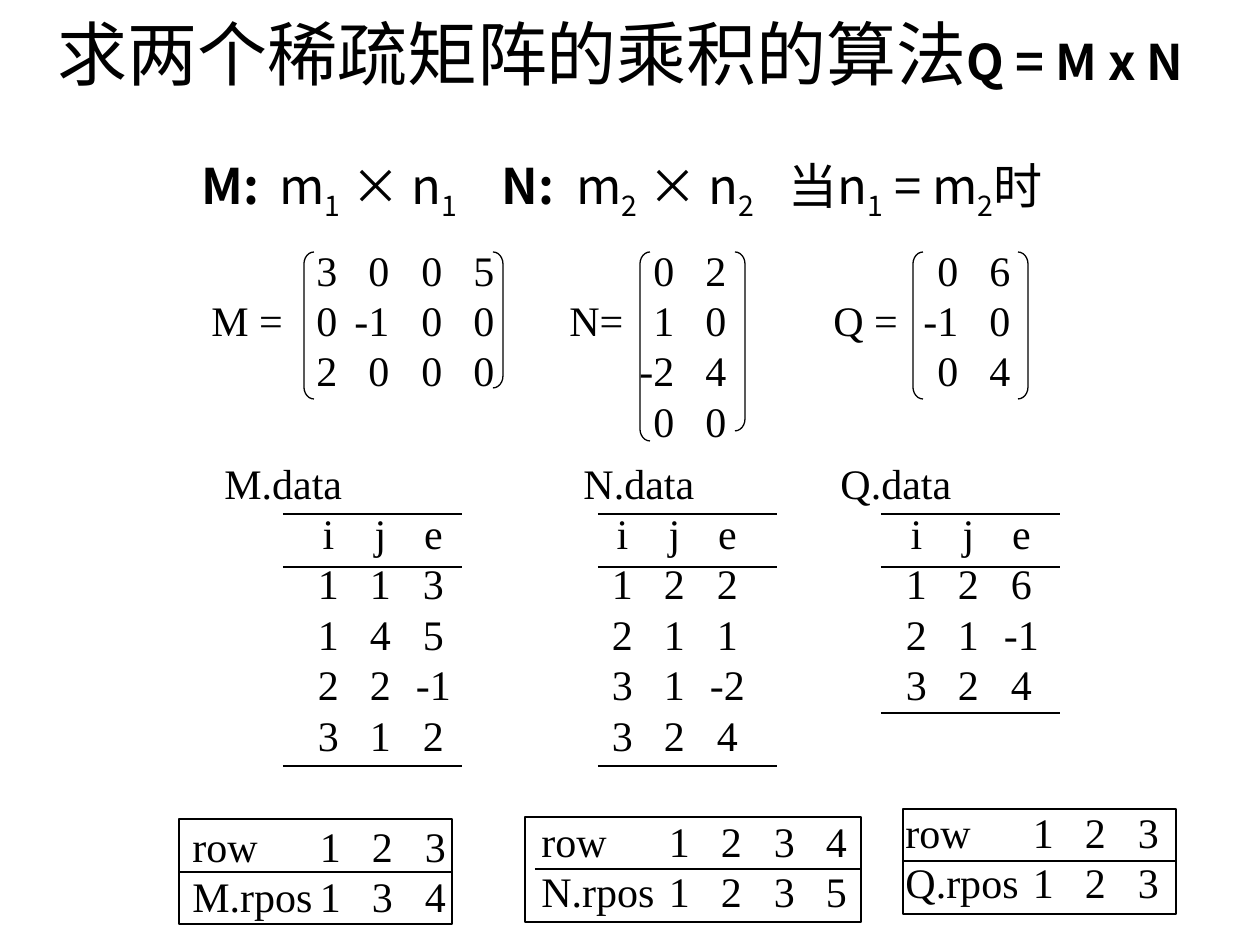
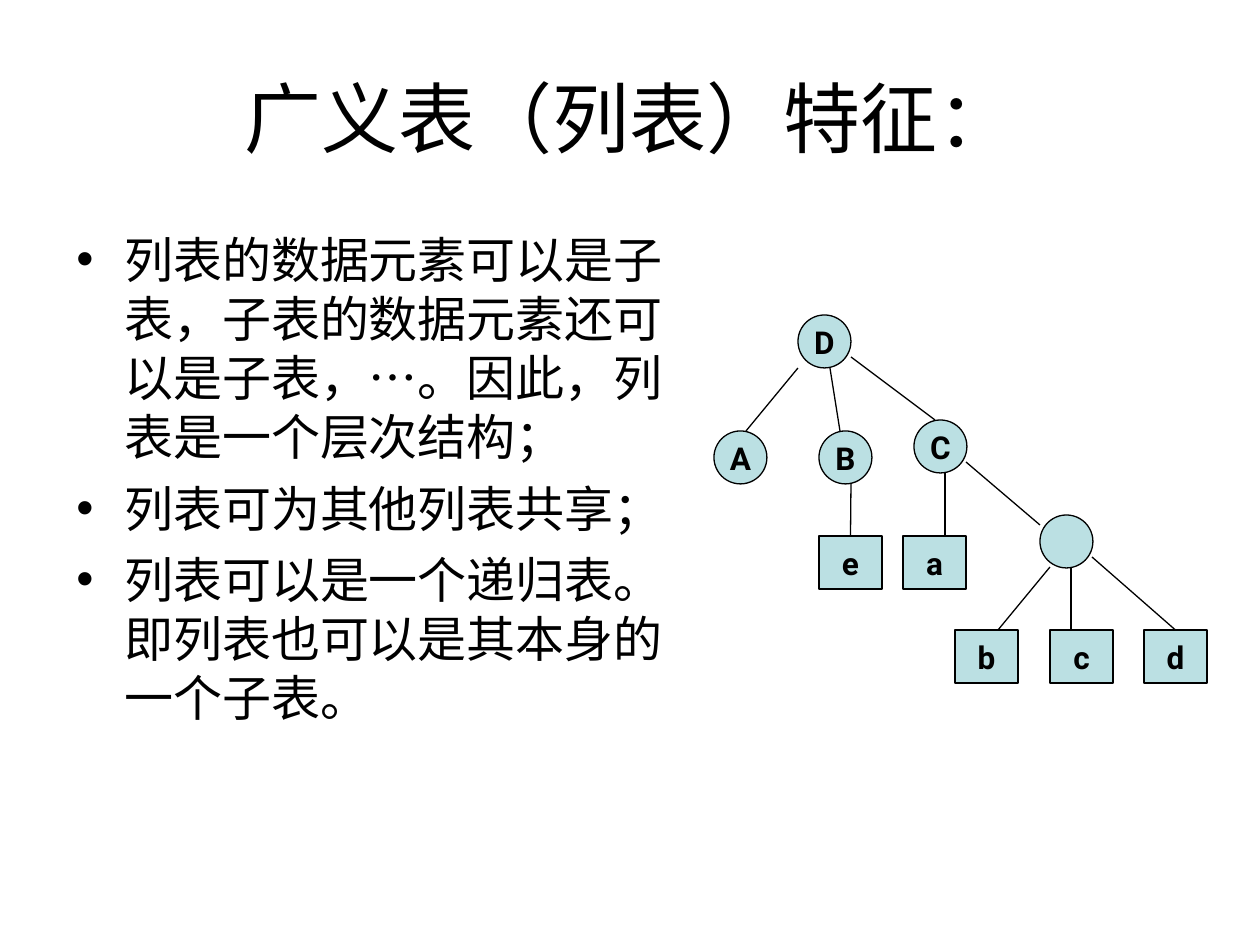
from dataclasses import dataclass
from itertools import zip_longest

from lxml.etree import SubElement
from pptx import Presentation
from pptx.dml.color import RGBColor
from pptx.enum.shapes import MSO_CONNECTOR, MSO_SHAPE
from pptx.enum.text import MSO_ANCHOR, MSO_AUTO_SIZE, PP_ALIGN
from pptx.oxml.ns import qn
from pptx.util import Emu, Pt


@dataclass(frozen=True)
class Theme:
    """Colours, fonts and type sizes shared by the slides."""
    ink: RGBColor = RGBColor(0, 0, 0)
    paper: RGBColor = RGBColor(255, 255, 255)
    node: RGBColor = RGBColor(0xBB, 0xE0, 0xE3)
    chinese: str = "Noto Sans CJK SC"
    plain: str = "Arial"
    serif: str = "Times New Roman"
    label: str = "Roboto"
    long_title: int = 40
    title: int = 44
    body: int = 28
    matrix: int = 24
    node_size: int = 18
    line: float = 0.75


THEME = Theme()


def px(length):
    """Turn pixels into EMU at 126 pixels to the inch."""
    return Emu(round(length * 914400 / 126))


def style_span(span, size, face, bold=False, subscript=False):
    """Set the font of one run, for Latin and Chinese letters."""
    font = span.font
    font.size, font.name, font.bold = Pt(size), face, bold
    font.color.rgb = THEME.ink
    properties = span._r.get_or_add_rPr()
    if subscript:
        properties.set("baseline", "-25000")
    east_asian = SubElement(properties, qn("a:ea"))
    east_asian.set("typeface", THEME.chinese)


def style_para(para, size, face, bold=False):
    """Set the font of every run in a paragraph."""
    for span in para.runs:
        style_span(span, size, face, bold)


def add_tabs(para, stops):
    """Add tab stops, given as (px, alignment) pairs."""
    tab_list = SubElement(para._p.get_or_add_pPr(), qn("a:tabLst"))
    for position, alignment in sorted(stops):
        tab = SubElement(tab_list, qn("a:tab"))
        tab.set("pos", str(px(position)))
        tab.set("algn", alignment)


def place_title(page, text, area, size, face):
    """Move and format the title placeholder."""
    title = page.shapes.title
    title.left, title.top, title.width, title.height = map(px, area)
    frame = title.text_frame
    frame.text = text
    frame.auto_size = MSO_AUTO_SIZE.NONE
    frame.vertical_anchor = MSO_ANCHOR.MIDDLE
    frame.paragraphs[0].alignment = PP_ALIGN.CENTER
    style_para(frame.paragraphs[0], size, face)
    return frame


def add_text(page, area, lines):
    """Add a wrapping text box with one paragraph a line."""
    frame = page.shapes.add_textbox(*map(px, area)).text_frame
    frame.word_wrap = True
    frame.text = "\n".join(lines)
    return frame


def add_tabbed_text(page, area, rows, stops):
    """Add rows of cells, each row with its own list of tab stops."""
    lines = ["\t".join(map(str, row)).rstrip() for row in rows]
    frame = add_text(page, area, lines)
    for para, row_stops in zip(frame.paragraphs, stops):
        add_tabs(para, row_stops)
        style_para(para, THEME.matrix, THEME.serif)


def add_line(page, start, end):
    """Add a thin straight connector."""
    line = page.shapes.add_connector(MSO_CONNECTOR.STRAIGHT, *map(px, (*start, *end)))
    line.line.color.rgb = THEME.ink
    line.line.width = Pt(THEME.line)
    SubElement(line._element.spPr, qn("a:effectLst"))
    return line


def add_outline(page, preset, area, fill=None):
    """Add a preset shape with a thin outline."""
    shape = page.shapes.add_shape(preset, *map(px, area))
    shape.shadow.inherit = False
    shape.line.color.rgb = THEME.ink
    shape.line.width = Pt(THEME.line)
    if fill is None:
        shape.fill.background()
    else:
        shape.fill.solid()
        shape.fill.fore_color.rgb = fill
    return shape


def add_bracket(page, preset, left, height):
    """Add one side of a matrix bracket."""
    bracket = add_outline(page, preset, (left, 252, 10, height))
    bracket.adjustments[0] = 1.2


def add_node(page, preset, area, name):
    """Add a tree node with its letter."""
    node = add_outline(page, preset, area, THEME.node)
    if name:
        frame = node.text_frame
        frame.text = name
        frame.word_wrap = False
        frame.vertical_anchor = MSO_ANCHOR.MIDDLE
        frame.paragraphs[0].alignment = PP_ALIGN.CENTER
        style_para(frame.paragraphs[0], THEME.node_size, THEME.label, True)
    return node


def add_bullets(page, area, items):
    """Add a bulleted list with a hanging indent."""
    frame = add_text(page, area, items)
    for index, para in enumerate(frame.paragraphs):
        para.line_spacing = Pt(33.75)
        para.space_before = Pt(7 if index else 0)
        properties = para._p.get_or_add_pPr()
        properties.set("marL", str(px(48)))
        properties.set("indent", str(px(-48)))
        SubElement(properties, qn("a:buFont")).set("typeface", THEME.plain)
        SubElement(properties, qn("a:buChar")).set("char", "•")
        style_para(para, THEME.body, THEME.plain)


def add_dimensions(frame):
    """Add the line of matrix dimensions below the title."""
    para = frame.add_paragraph()
    para.alignment = PP_ALIGN.LEFT
    para.space_before = Pt(35)
    add_tabs(para, [(stop, "l") for stop in (167, 245, 467, 542, 754)])
    spans = (("\tM:\t", "b"), ("m", ""), ("1", "s"), (" × n", ""), ("1", "s"),
             ("\tN:\t", "b"), ("m", ""), ("2", "s"), (" × n", ""), ("2", "s"),
             ("\t当n", ""), ("1", "s"), (" = m", ""), ("2", "s"), ("时", ""))
    for text, kind in spans:
        span = para.add_run()
        span.text = text
        style_span(span, THEME.body, THEME.chinese, kind == "b", kind == "s")


def add_matrices(page):
    """Add the three matrices, side by side in brackets."""
    matrices = (
        ("M =", 0, 126, [(3, 0, 0, 5), (0, -1, 0, 0), (2, 0, 0, 0)]),
        ("N=", 358, 463, [(0, 2), (1, 0), (-2, 4), (0, 0)]),
        ("Q =", 622, 747, [(0, 6), (-1, 0), (0, 4)]))
    rows, stops = [[] for _ in range(4)], []
    for name, label_stop, first_column, values in matrices:
        columns = len(values[0])
        if label_stop:
            stops.append((label_stop, "l"))
        stops += [(first_column + 105 * k // 2, "r") for k in range(columns)]
        blank = ("",) * columns
        for index, (row, cells) in enumerate(zip_longest(rows, values, fillvalue=blank)):
            row += [name if index == 1 else "", *cells]
    add_tabbed_text(page, (199, 238, 998, 214), rows, [stops] * 4)
    for left, right, left_height, right_height in (
            (304, 493, 147, 136), (640, 735, 189, 179), (913, 1018, 147, 147)):
        add_bracket(page, MSO_SHAPE.LEFT_BRACKET, left, left_height)
        add_bracket(page, MSO_SHAPE.RIGHT_BRACKET, right, right_height)


def add_triples(page):
    """Add the triple lists of the three matrices, with their rules."""
    triples = (
        (104, 283, 766, [(1, 1, 3), (1, 4, 5), (2, 2, -1), (3, 1, 2)]),
        (398, 598, 766, [(1, 2, 2), (2, 1, 1), (3, 1, -2), (3, 2, 4)]),
        (692, 881, 713, [(1, 2, 6), (2, 1, -1), (3, 2, 4)]))
    rows = [["M.data", "N.data", "Q.data"], ["", *"ije" * 3]]
    lists = [values for _, _, _, values in triples]
    for cells in zip_longest(*lists, fillvalue=("",) * 3):
        rows.append(["", *sum(cells, ())])
    columns = [(first + 105 * k // 2, "ctr") for first, _, _, _ in triples for k in range(3)]
    stops = [[(359, "l"), (616, "l")]] + [columns] * 5
    add_tabbed_text(page, (212, 451, 900, 365), rows, stops)
    for _, left, bottom, _ in triples:
        for top in (514, 567, bottom):
            add_line(page, (left, top), (left + 179, top))


def add_row_index(page, name, text_at, frame_area, rule, positions):
    """Add a framed index of where each matrix row starts."""
    rows = [("row", *range(1, len(positions) + 1)), (name + ".rpos", *positions)]
    columns = [(138 + 105 * k // 2, "ctr") for k in range(len(positions))]
    add_tabbed_text(page, (*text_at, frame_area[2] + 20, 113), rows, [columns] * 2)
    left, top = rule
    add_line(page, rule, (frame_area[0] + frame_area[2], top))
    add_outline(page, MSO_SHAPE.RECTANGLE, frame_area)


def build_product(page):
    """Build the slide on multiplying sparse matrices."""
    frame = place_title(page, "求两个稀疏矩阵的乘积的算法", (22, 38, 1197, 157),
                        THEME.long_title, THEME.chinese)
    formula = frame.paragraphs[0].add_run()
    formula.text = "Q = M x N"
    style_span(formula, THEME.body, THEME.chinese, True)
    add_dimensions(frame)
    add_matrices(page)
    add_triples(page)
    add_row_index(page, "M", (180, 814), (179, 819, 273, 105), (179, 872), (1, 3, 4))
    add_row_index(page, "Q", (893, 800), (903, 809, 273, 105), (903, 861), (1, 2, 3))
    add_row_index(page, "N", (529, 809), (525, 817, 336, 105), (535, 869), (1, 2, 3, 5))


def build_list(page):
    """Build the slide on generalized lists and their tree."""
    place_title(page, "广义表（列表）特征：", (63, 38, 1134, 157), THEME.title, THEME.plain)
    add_bullets(page, (64, 223, 627, 652), (
        "列表的数据元素可以是子表，子表的数据元素还可以是子表，…。因此，列表是一个层次结构；",
        "列表可为其他列表共享；",
        "列表可以是一个递归表。即列表也可以是其本身的一个子表。"))
    circles = (("D", 798, 315), ("A", 714, 431), ("B", 819, 431), ("C", 914, 420), ("", 1040, 515))
    for name, left, top in circles:
        add_node(page, MSO_SHAPE.OVAL, (left, top, 53, 53), name)
    leaves = {}
    for name, left, top in (("e", 819, 536), ("a", 903, 536), ("b", 955, 630),
                            ("c", 1050, 630), ("d", 1144, 630)):
        leaves[name] = add_node(page, MSO_SHAPE.RECTANGLE, (left, top, 63, 53), name)
    branches = (
        ((798, 368), (746, 431), None), ((935, 420), (851, 357), None),
        ((830, 368), (840, 431), None), ((851, 483), (851, 536), "e"),
        ((945, 473), (945, 536), None), ((966, 462), (1040, 525), None),
        ((1050, 567), (998, 630), None), ((1071, 567), (1071, 630), None),
        ((1092, 557), (1176, 630), "d"))
    for start, end, leaf in branches:
        branch = add_line(page, start, end)
        if leaf:
            branch.end_connect(leaves[leaf], 0)


def main():
    """Build both slides and save the deck."""
    deck = Presentation()
    deck.slide_width, deck.slide_height = px(1260), px(945)
    for build in (build_product, build_list):
        page = deck.slides.add_slide(deck.slide_layouts[5])
        page.background.fill.solid()
        page.background.fill.fore_color.rgb = THEME.paper
        build(page)
    deck.save("out.pptx")


if __name__ == "__main__":
    main()
